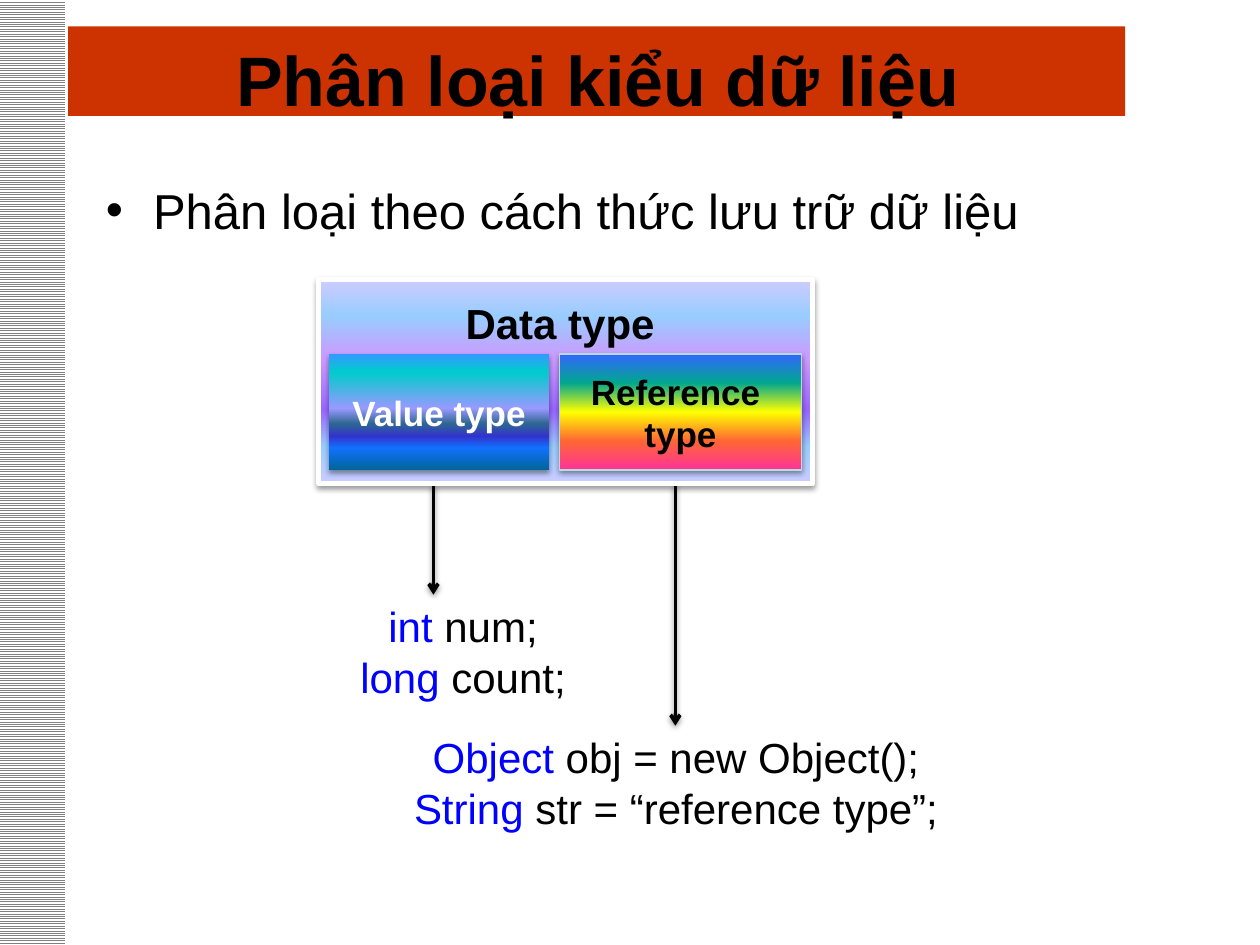
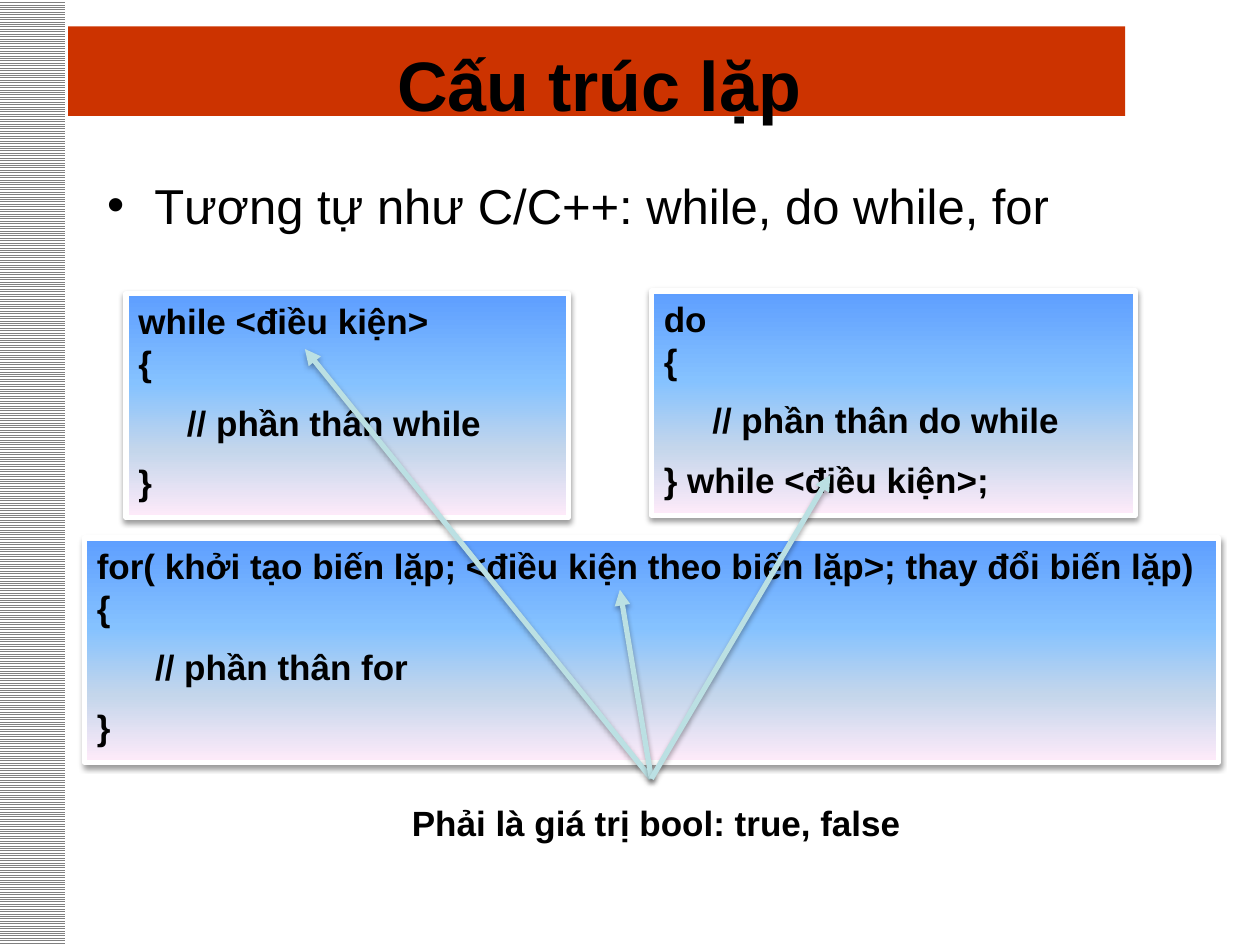
import pptx
import pptx.dml.color
import pptx.enum.dml
import pptx.enum.shapes
import pptx.enum.text
import pptx.oxml.ns
import pptx.util
from lxml import etree

RGBColor = pptx.dml.color.RGBColor
Align = pptx.enum.text.PP_ALIGN
Anchor = pptx.enum.text.MSO_ANCHOR
RECTANGLE = pptx.enum.shapes.MSO_SHAPE.RECTANGLE

BLACK = RGBColor(0x00, 0x00, 0x00)
WHITE = RGBColor(0xFF, 0xFF, 0xFF)
GREY = RGBColor(0x80, 0x80, 0x80)
TITLE_RED = RGBColor(0xCC, 0x33, 0x00)
KEYWORD_BLUE = RGBColor(0x00, 0x00, 0xFF)
PALE_TEAL = RGBColor(0xBB, 0xE0, 0xE3)
EDGE_TEAL = RGBColor(0xB6, 0xDC, 0xDF)

UPWARD, DOWNWARD = 90, 270
DATA_TYPE_GRADIENT = (UPWARD, [(0, "CCCCFF"), (18, "99CCFF"), (36, "9966FF"),
                               (61, "CC99FF"), (82, "99CCFF"), (100, "CCCCFF")])
VALUE_GRADIENT = (DOWNWARD, [(0, "3399FF"), (16, "00CCCC"), (47, "9999FF"), (60, "2E6792"),
                             (71, "3333CC"), (81, "1170FF"), (100, "006699")])
REFERENCE_GRADIENT = (UPWARD, [(0, "FF3399"), (25, "FF6633"), (50, "FFFF00"),
                               (75, "01A78F"), (100, "3366FF")])
CODE_GRADIENT = (DOWNWARD, [(0, "5E9EFF"), (40, "85C2FF"), (70, "C4D6EB"), (100, "FFEBFA")])


def px(length):
    return pptx.util.Emu(length * 9144)


def add_xml(parent, tag, **attributes):
    return etree.SubElement(parent, pptx.oxml.ns.qn(tag), attributes)


def add_color(parent, value):
    return add_xml(parent, "a:srgbClr", val=value)


class Deck:
    font_name = "Arial"

    def __init__(self):
        self.presentation = pptx.Presentation()
        self.presentation.slide_width = px(1000)
        self.presentation.slide_height = px(750)
        self.slide = None

    def new_slide(self):
        layout = self.presentation.slide_layouts[1]
        self.slide = self.presentation.slides.add_slide(layout)

    def draw_master_bands(self):
        title_band = self.rectangle(54, 21, 839, 71)
        title_band.fill.solid()
        title_band.fill.fore_color.rgb = TITLE_RED
        side_band = self.rectangle(-1, 0, 53, 750)
        side_band.fill.patterned()
        side_band.fill.pattern = pptx.enum.dml.MSO_PATTERN.LIGHT_HORIZONTAL
        side_band.fill.fore_color.rgb = GREY
        side_band.fill.back_color.rgb = WHITE
        tree = self.presentation.slide_master.shapes.element
        for position, band in enumerate((title_band, side_band)):
            band.element.nvSpPr.cNvPr.set("id", str(100 + position))
            tree.insert(2 + position, band.element)

    def place(self, shape, left, top, width, height):
        shape.left, shape.top = px(left), px(top)
        shape.width, shape.height = px(width), px(height)

    def add_text(self, frame, paragraphs, size, bold=False, align=Align.LEFT, gap=0):
        for index, runs in enumerate(paragraphs):
            paragraph = frame.add_paragraph() if index else frame.paragraphs[0]
            paragraph.alignment = align
            paragraph.space_before = pptx.util.Pt(gap if index else 0)
            for text, color in runs:
                for line_index, line in enumerate(text.split("\n")):
                    if line_index:
                        paragraph.add_line_break()
                    run = paragraph.add_run()
                    run.text = line
                    run.font.name = self.font_name
                    run.font.size = pptx.util.Pt(size)
                    run.font.bold = bold
                    run.font.color.rgb = color

    def placeholder(self, shape, box, text, size, margin_top, **style):
        self.place(shape, *box)
        frame = shape.text_frame
        frame.auto_size = pptx.enum.text.MSO_AUTO_SIZE.NONE
        frame.vertical_anchor = Anchor.TOP
        frame.margin_top = px(margin_top)
        self.add_text(frame, [[(text, BLACK)]], size, **style)
        return frame.paragraphs[0]

    def title(self, box, text):
        self.placeholder(self.slide.shapes.title, box, text, 40, 11,
                         bold=True, align=Align.CENTER)

    def bullet(self, box, text):
        paragraph = self.placeholder(self.slide.placeholders[1], box, text, 28, 9,
                                     align=Align.JUSTIFY)
        paragraph.line_spacing = 1.2
        paragraph.space_after = pptx.util.Pt(3)

    def rectangle(self, *box):
        shape = self.slide.shapes.add_shape(RECTANGLE, *map(px, box))
        shape.shadow.inherit = False
        shape.line.fill.background()
        return shape

    def add_shadow(self, effects, distance=20000, opacity=38):
        shadow = add_xml(effects, "a:outerShdw", blurRad="40000", dist=str(distance),
                         dir="5400000", rotWithShape="0")
        add_xml(add_color(shadow, "000000"), "a:alpha", val=str(opacity * 1000))

    def panel(self, box, gradient, line_color=None, line_width=0):
        shape = self.rectangle(*box)
        angle, stops = gradient
        shape.fill.gradient()
        shape.fill.gradient_angle = angle
        properties = shape.element.spPr
        stop_list = properties.find(".//" + pptx.oxml.ns.qn("a:gsLst"))
        stop_list.clear()
        for position, color in stops:
            add_color(add_xml(stop_list, "a:gs", pos=str(position * 1000)), color)
        if line_color is not None:
            shape.line.color.rgb = line_color
            shape.line.width = pptx.util.Pt(line_width)
        self.add_shadow(properties.find(pptx.oxml.ns.qn("a:effectLst")))
        return shape

    def label_panel(self, box, gradient, lines, color, **outline):
        frame = self.panel(box, gradient, **outline).text_frame
        frame.word_wrap = False
        frame.vertical_anchor = Anchor.MIDDLE
        self.add_text(frame, [[(line, color)] for line in lines], 20, True, Align.CENTER)

    def code_panel(self, box, *paragraphs):
        frame = self.panel(box, CODE_GRADIENT, WHITE, 3).text_frame
        frame.word_wrap = True
        frame.vertical_anchor = Anchor.TOP
        self.add_text(frame, [[(text, BLACK)] for text in paragraphs], 20, True, gap=10)

    def text_box(self, box, paragraphs, size, **style):
        frame = self.slide.shapes.add_textbox(*map(px, box)).text_frame
        frame.word_wrap = True
        self.add_text(frame, paragraphs, size, **style)

    def arrow(self, start, end, color, width, head, distance=20000, opacity=38):
        connector = self.slide.shapes.add_connector(
            pptx.enum.shapes.MSO_CONNECTOR.STRAIGHT, *map(px, start + end))
        connector.line.color.rgb = color
        connector.line.width = pptx.util.Pt(width)
        properties = connector.element.spPr
        add_xml(properties.find(pptx.oxml.ns.qn("a:ln")), "a:tailEnd", type=head)
        self.add_shadow(add_xml(properties, "a:effectLst"), distance, opacity)


def draw_data_types(deck):
    deck.title((58, 18, 833, 90), "Phân loại kiểu dữ liệu")
    deck.bullet((74, 125, 885, 570), "Phân loại theo cách thức lưu trữ dữ liệu")
    for x, bottom in ((344, 472), (536, 576)):
        deck.arrow((x, 384), (x, bottom), BLACK, 2, "arrow")
    deck.panel((253, 222, 392, 162), DATA_TYPE_GRADIENT, WHITE, 3)
    deck.label_panel((261, 281, 175, 92), VALUE_GRADIENT, ["Value type"], WHITE)
    deck.label_panel((444, 281, 192, 92), REFERENCE_GRADIENT, ["Reference ", "type"], BLACK,
                     line_color=EDGE_TEAL, line_width=0.75)
    deck.text_box((261, 231, 367, 50), [[("Data type", BLACK)]], 24,
                  bold=True, align=Align.CENTER)
    examples = [
        ((244, 472, 247, 91), [("int", " num;"), ("long", " count;")]),
        ((217, 576, 639, 91), [("Object", " obj = new Object();"),
                               ("String", " str = “reference type”;")]),
    ]
    for box, declarations in examples:
        paragraphs = [[(keyword, KEYWORD_BLUE), (rest, BLACK)] for keyword, rest in declarations]
        deck.text_box(box, paragraphs, 24, align=Align.CENTER)


def draw_loops(deck):
    deck.title((50, 22, 851, 70), "Cấu trúc lặp")
    deck.bullet((75, 121, 925, 570), "Tương tự như C/C++: while, do while, for")
    deck.code_panel((100, 233, 351, 178), "while <điều kiện>\n{", "     // phần thân while", "}")
    deck.code_panel((517, 231, 384, 178), "do \n{", "     // phần thân do while",
                    "} while <điều kiện>;")
    deck.code_panel((67, 427, 900, 178),
                    "for( khởi tạo biến lặp; <điều kiện theo biến lặp>; thay đổi biến lặp)\n{",
                    "      // phần thân for", "}")
    deck.text_box((317, 631, 408, 44), [[("Phải là giá trị bool: true, false", BLACK)]], 20,
                  bold=True)
    for condition in ((242, 277), (492, 468), (659, 377)):
        deck.arrow((517, 618), condition, PALE_TEAL, 3, "triangle", 23000, 35)


def main():
    deck = Deck()
    deck.new_slide()
    deck.draw_master_bands()
    draw_data_types(deck)
    deck.new_slide()
    draw_loops(deck)
    deck.presentation.save("out.pptx")


if __name__ == "__main__":
    main()
